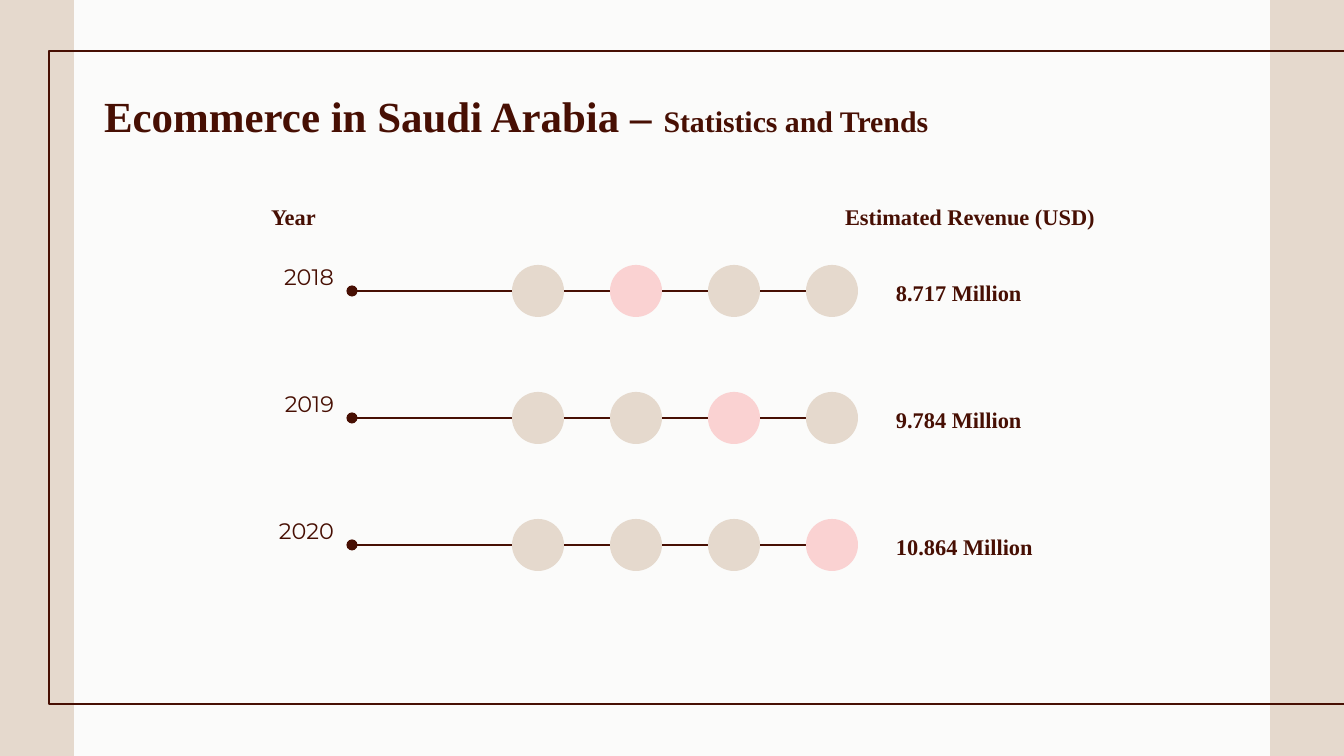
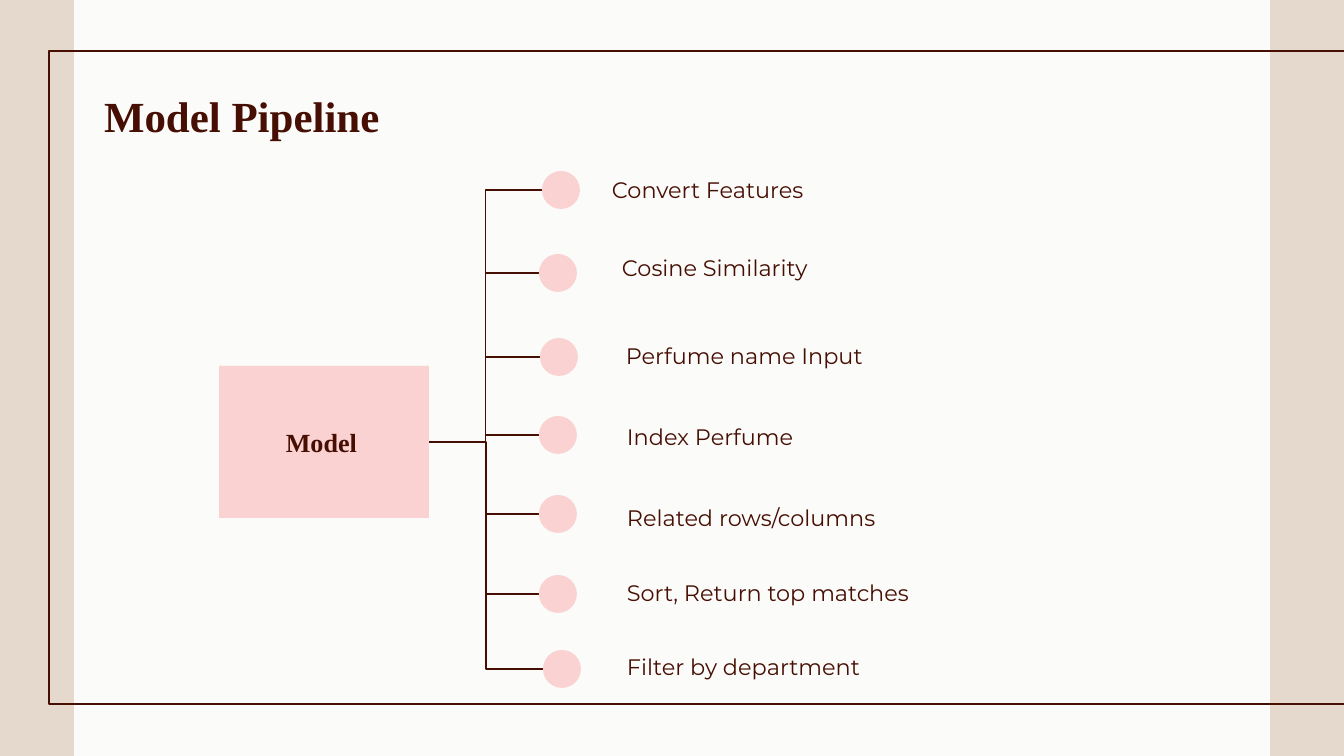
"""Build two slides: Saudi ecommerce revenue by year and the model pipeline."""
from lxml import etree
from pptx import Presentation
from pptx.dml.color import RGBColor
from pptx.enum.shapes import MSO_CONNECTOR, MSO_SHAPE
from pptx.enum.text import MSO_ANCHOR, MSO_AUTO_SIZE, PP_ALIGN
from pptx.oxml.ns import qn
from pptx.util import Pt

PX = 914400 / 134.4
STRAIGHT, ELBOW = MSO_CONNECTOR.STRAIGHT, MSO_CONNECTOR.ELBOW
RECT, OVAL = MSO_SHAPE.RECTANGLE, MSO_SHAPE.OVAL
TOP, MIDDLE = MSO_ANCHOR.TOP, MSO_ANCHOR.MIDDLE
LEFT, CENTER, RIGHT = PP_ALIGN.LEFT, PP_ALIGN.CENTER, PP_ALIGN.RIGHT
NO_FIT = MSO_AUTO_SIZE.NONE
TITLE_ONLY = 5
COLORS = {"paper": "FBFBFA", "sand": "E5D9CD", "pink": "FAD2D2", "ink": "470F03"}
SERIF, SANS = "Times New Roman", "Montserrat"
WIDTH, HEIGHT, MARGIN = 1344, 756, 13

REVENUES = [("2018", "8.717 Million"), ("2019", "9.784 Million"), ("2020", "10.864 Million")]
STEPS = [
    ("Convert Features", 542, 190, 599, 163),
    ("Cosine Similarity", 539, 273, 609, 241),
    ("Perfume name Input", 540, 357, 613, 329),
    ("Index Perfume", 539, 435, 614, 410),
    ("Related rows/columns", 539, 514, 614, 491),
    ("Sort, Return top matches", 539, 594, 614, 566),
    ("Filter by department", 543, 669, 614, 640),
]


def emu(*lengths):
    """Turn px lengths into EMU."""
    return [round(length * PX) for length in lengths]


def rgb(name):
    """Look up a palette colour."""
    return RGBColor.from_string(COLORS[name])


def add_block(slide, kind, box, fill=None, line=None):
    """Add a preset shape with an optional fill and outline."""
    block = slide.shapes.add_shape(kind, *emu(*box))
    block.shadow.inherit = False
    if fill:
        block.fill.solid()
        block.fill.fore_color.rgb = rgb(fill)
    else:
        block.fill.background()
    if line:
        block.line.color.rgb = rgb(line)
        block.line.width = Pt(0.75)
    else:
        block.line.fill.background()


def add_line(slide, start, end, kind=STRAIGHT, dot=False):
    """Add an ink connector, ending in a dot if asked."""
    connector = slide.shapes.add_connector(kind, *emu(*start, *end))
    connector.line.color.rgb = rgb("ink")
    connector.line.width = Pt(0.75)
    properties = connector.element.spPr
    if dot:
        etree.SubElement(properties.find(qn("a:ln")), qn("a:tailEnd"), type="oval")
    etree.SubElement(properties, qn("a:effectLst"))


def write(holder, runs, font, bold, align=LEFT, anchor=TOP, right=MARGIN, after=0):
    """Fill a text holder with one paragraph of (text, size) runs."""
    frame = holder.text_frame
    frame.word_wrap = True
    frame.auto_size = NO_FIT
    frame.vertical_anchor = anchor
    frame.margin_left, frame.margin_top, frame.margin_right, frame.margin_bottom = emu(
        MARGIN, MARGIN, right, MARGIN)
    paragraph = frame.paragraphs[0]
    paragraph.alignment = align
    paragraph.space_after = Pt(after)
    paragraph.font.name = font
    paragraph.font.bold = bold
    paragraph.font.color.rgb = rgb("ink")
    paragraph.font.size = Pt(runs[0][1])
    for text, size in runs:
        run = paragraph.add_run()
        run.text = text
        if size != runs[0][1]:
            run.font.size = Pt(size)


def add_heading(slide, text, box, size=12, align=LEFT):
    """Add a bold serif label."""
    write(slide.shapes.add_textbox(*emu(*box)), [(text, size)], SERIF, True, align, MIDDLE)


def add_label(slide, text, box, align=LEFT, right=MARGIN):
    """Add a plain sans label."""
    write(slide.shapes.add_textbox(*emu(*box)), [(text, 12)], SANS, False, align,
          right=right, after=16)


def add_slide(prs, title_width, *title_runs):
    """Add a slide with side bands, frame and title."""
    slide = prs.slides.add_slide(prs.slide_layouts[TITLE_ONLY])
    for left in (0, WIDTH - 73):
        add_block(slide, RECT, (left, 0, 73, HEIGHT), "sand", "sand")
    add_block(slide, RECT, (49, 51, 1399, 653), line="ink")
    title = slide.shapes.title
    title.left, title.top, title.width, title.height = emu(91, 77, title_width, 85)
    write(title, title_runs, SERIF, True)
    return slide


def add_revenue_row(slide, index, year, revenue):
    """Add one year's line, with one of its four circles highlighted."""
    y = 291 + 127 * index
    add_line(slide, (806, y), (352, y), dot=True)
    for step in range(4):
        fill = "pink" if step == index + 1 else "sand"
        add_block(slide, OVAL, (512 + 98 * step, y - 26, 52, 52), fill)
    add_heading(slide, revenue, (883, y - 31, 211, 65))
    add_label(slide, year, (121, y - 41, 233, 85), RIGHT, right=20)


def build_revenue(prs):
    """Build the revenue statistics slide."""
    slide = add_slide(prs, 1253, ("Ecommerce in Saudi Arabia – ", 23),
                      ("Statistics and Trends", 16))
    add_heading(slide, "Year", (258, 184, 126, 65))
    add_heading(slide, "Estimated Revenue (USD)", (832, 184, 337, 65))
    for index, (year, revenue) in enumerate(REVENUES):
        add_revenue_row(slide, index, year, revenue)


def build_pipeline(prs):
    """Build the model pipeline slide."""
    slide = add_slide(prs, 605, ("Model Pipeline", 23))
    add_block(slide, RECT, (219, 366, 210, 152), "pink")
    add_heading(slide, "Model", (220, 410, 203, 65), 14, CENTER)
    for index, (step, x, y, text_left, text_top) in enumerate(STEPS):
        if index in (0, len(STEPS) - 1):
            add_line(slide, (x, y), (429, 442), ELBOW)
        else:
            add_line(slide, (x, y), (486, y))
        add_block(slide, OVAL, (x, y - 19, 38, 38), "pink")
        add_label(slide, step, (text_left, text_top, 343, 55))


def main():
    """Build and save the presentation."""
    prs = Presentation()
    prs.slide_width, prs.slide_height = emu(WIDTH, HEIGHT)
    background = prs.slide_master.background.fill
    background.solid()
    background.fore_color.rgb = rgb("paper")
    build_revenue(prs)
    build_pipeline(prs)
    prs.save("out.pptx")


if __name__ == "__main__":
    main()
